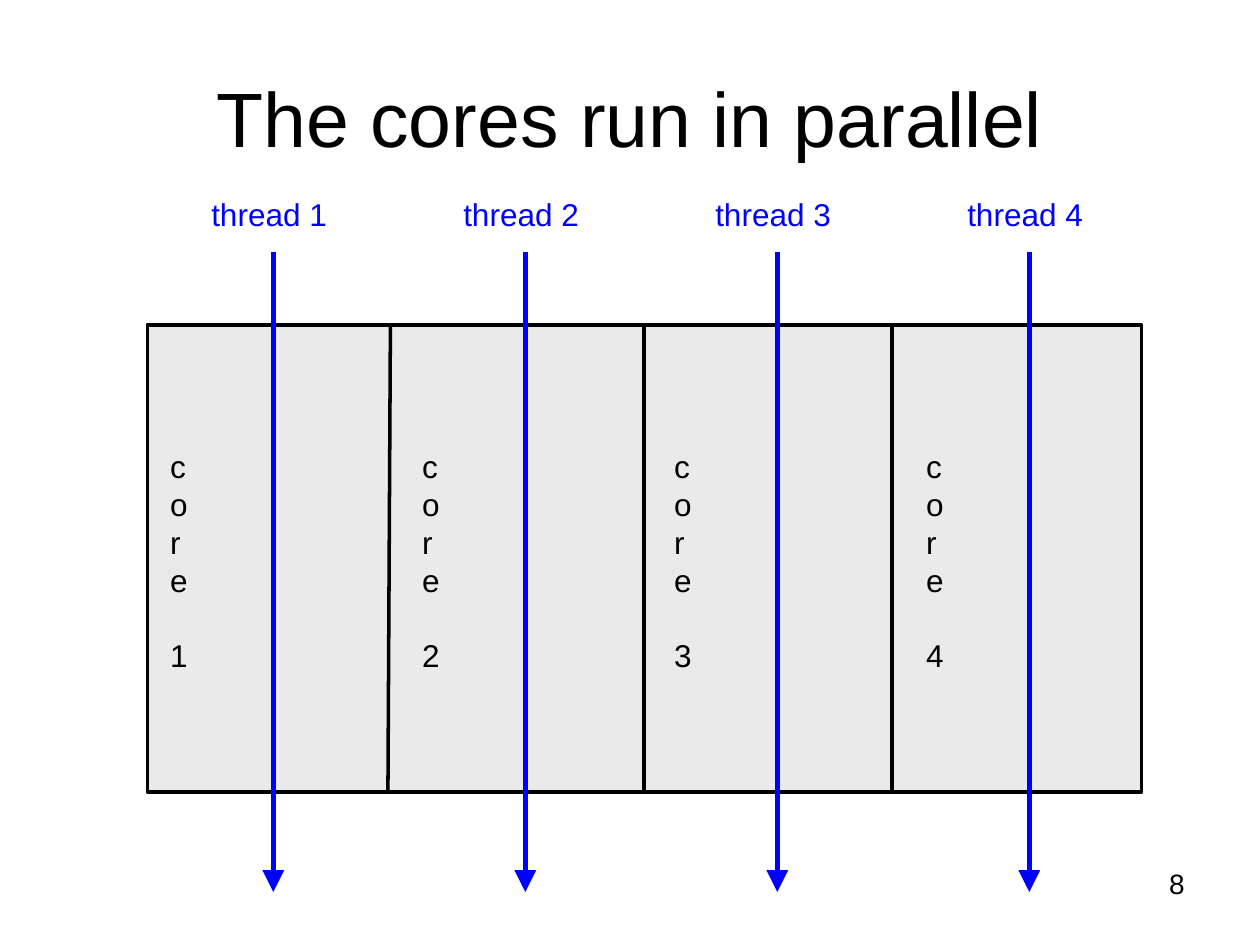
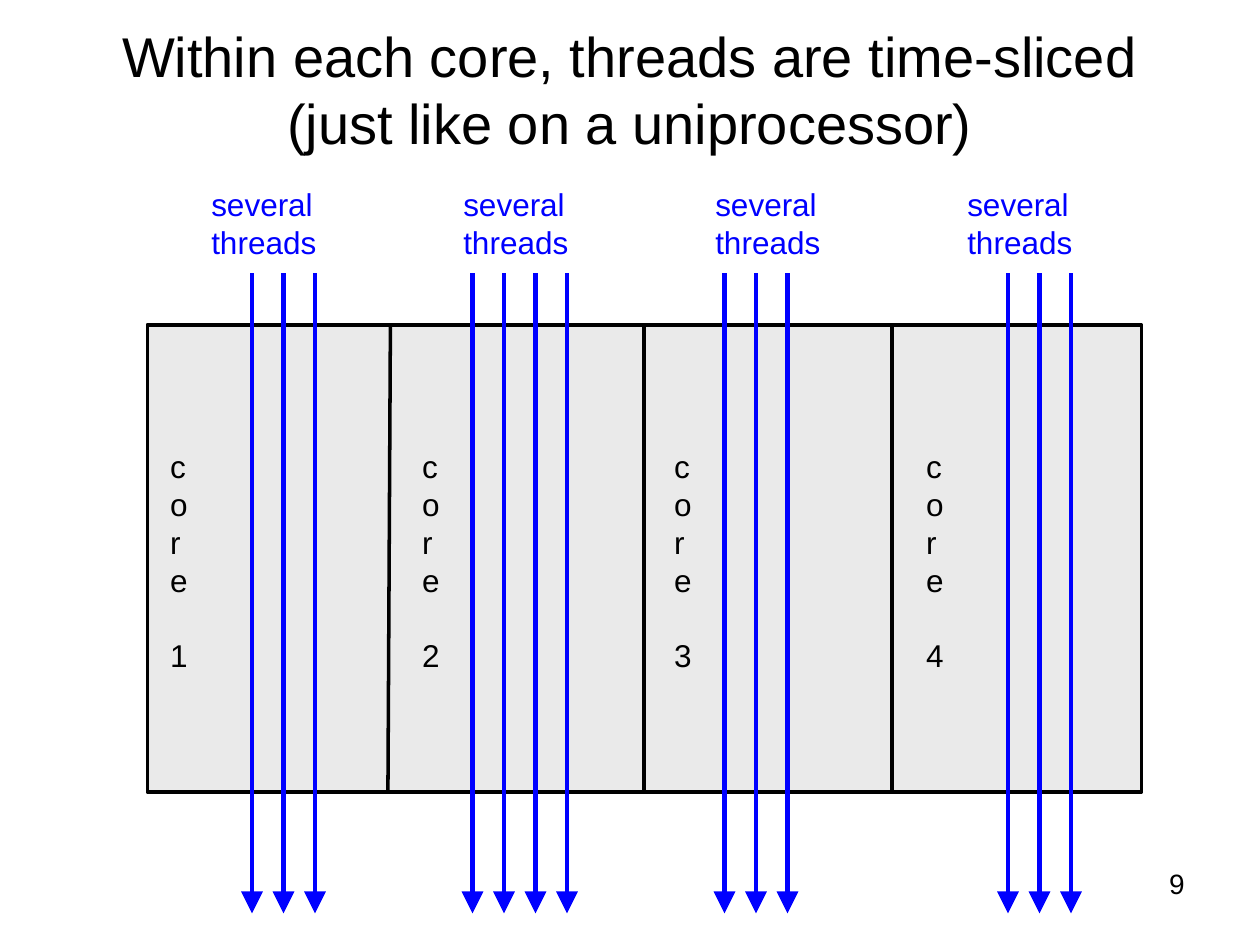
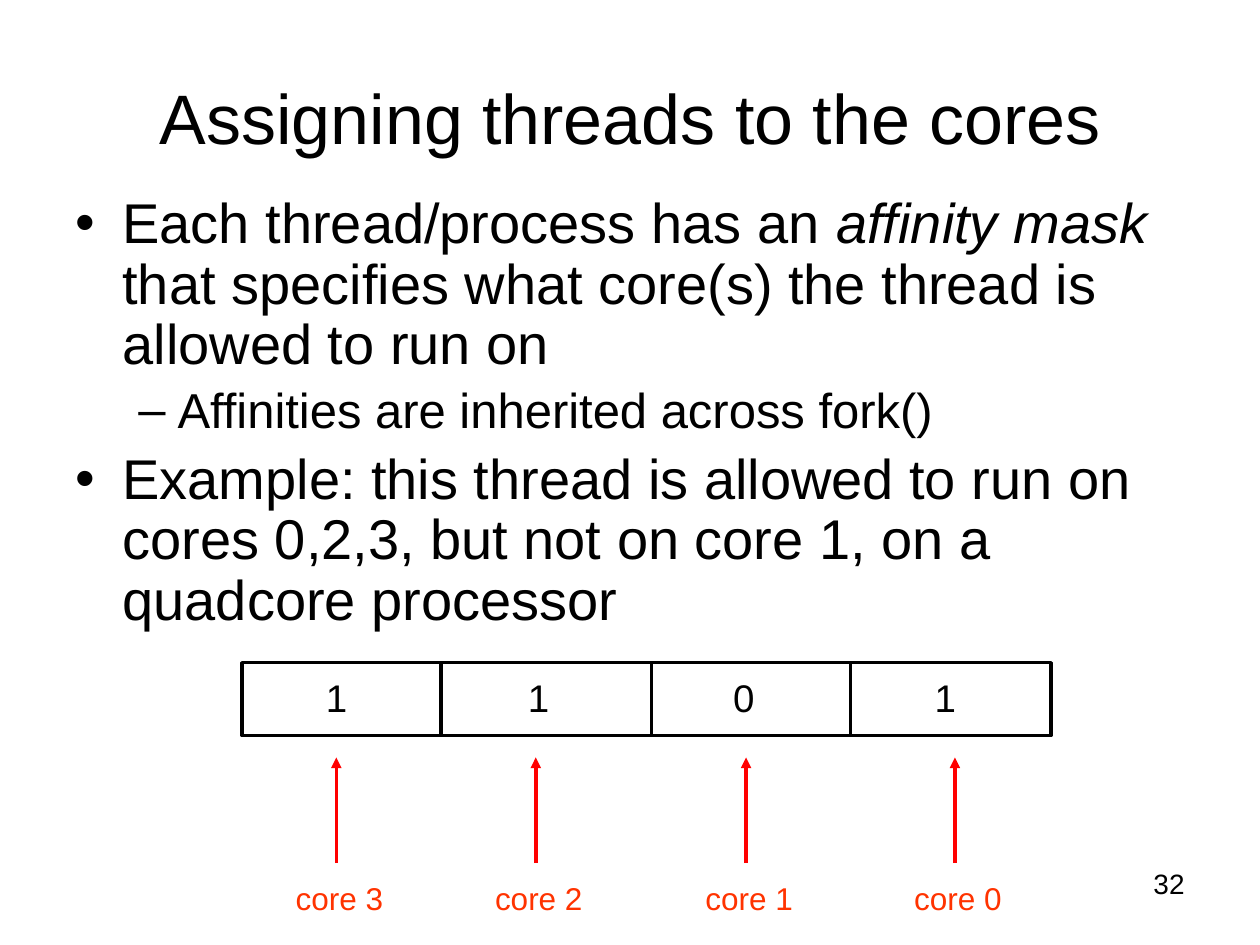
from dataclasses import dataclass

from lxml import etree
from pptx import Presentation
from pptx.dml.color import RGBColor
from pptx.enum.shapes import MSO_CONNECTOR, MSO_SHAPE
from pptx.enum.text import MSO_ANCHOR, MSO_AUTO_SIZE, PP_ALIGN
from pptx.oxml.ns import qn
from pptx.util import Cm, Pt

STRAIGHT = MSO_CONNECTOR.STRAIGHT
RECTANGLE = MSO_SHAPE.RECTANGLE
MIDDLE = MSO_ANCHOR.MIDDLE
NO_AUTOFIT = MSO_AUTO_SIZE.NONE
GROW = MSO_AUTO_SIZE.SHAPE_TO_FIT_TEXT
LEFT, CENTER, RIGHT = PP_ALIGN.LEFT, PP_ALIGN.CENTER, PP_ALIGN.RIGHT
TITLE_ONLY = 5


@dataclass(frozen=True)
class Theme:
    font: str = "Arial"
    ink: str = "000000"
    chip: str = "EAEAEA"
    thread: str = "0000FF"
    pointer: str = "FF0000"
    pointer_label: str = "FF3300"
    title_size: int = 44
    list_title_size: int = 40
    long_title_size: int = 32
    bullet_sizes: tuple = (32, 28)
    bit_size: int = 22
    label_size: int = 18
    number_size: int = 16
    outline: float = 2
    thread_line: float = 2.5


THEME = Theme()

# Geometry in centimetres
CHIP = (2.97, 6.55, 20.04, 9.42)
CHIP_DIVIDERS = ((7.87, 7.82), (12.98, 12.98), (17.98, 17.98))
CORE_COUNT = 4
CORE_PITCH = 5.08
CORE_LABEL_LEFT = 3.18
THREAD_LABEL_LEFT = 4.01
THREAD_X = 5.51
SLICE_X = 5.08
SLICE_GAP = CORE_PITCH / 8
THREAD_LENGTH = 12.9

# Thread slots used in each core, counted in slice gaps
SLICES = (range(0, 3), range(-1, 3), range(-1, 2), range(0, 3))

MASK = (4.88, 13.36, 16.31, 1.47)
MASK_DIVIDERS = (8.89, 13.13, 17.15)
# bit value, left of the bit, core name, arrow position
MASK_CORES = (
    ("1", 6.32, "core 3", 6.78),
    ("1", 10.39, "core 2", 10.8),
    ("0", 14.53, "core 1", 15.04),
    ("1", 18.59, "core 0", 19.25),
)

# level and runs as (text, italic)
AFFINITY_POINTS = (
    (0, (("Each thread/process has an ", False),
         ("affinity mask ", True),
         ("that specifies what core(s) the thread is allowed to run on", False))),
    (1, (("Affinities are inherited across fork()", False),)),
    (0, (("Example: this thread is allowed to run on cores 0,2,3, "
          "but not on core 1, on a quadcore processor", False),)),
)
# symbol, text indent and hanging indent for each level
BULLETS = (("•", 0.95, 0.95), ("–", 2.06, 0.79))


def style_font(font, size, color=THEME.ink):
    font.name = THEME.font
    font.size = Pt(size)
    font.color.rgb = RGBColor.from_string(color)


def style_frame(frame, size, color=THEME.ink, align=LEFT):
    for para in frame.paragraphs:
        para.alignment = align
        for span in para.runs:
            style_font(span.font, size, color)


def add_text(page, text, left, top, width, height, size,
             color=THEME.ink, align=LEFT, wrap=False):
    box = page.shapes.add_textbox(Cm(left), Cm(top), Cm(width), Cm(height))
    frame = box.text_frame
    frame.word_wrap = wrap
    frame.auto_size = NO_AUTOFIT if wrap else GROW
    frame.text = text
    style_frame(frame, size, color, align)
    return box


def add_line(page, start, end, color=THEME.ink, width=THEME.outline, head=None):
    """Draw a line; head is the arrowhead size at its end ("med" or "lg")."""
    line = page.shapes.add_connector(
        STRAIGHT, Cm(start[0]), Cm(start[1]), Cm(end[0]), Cm(end[1]))
    line.line.color.rgb = RGBColor.from_string(color)
    line.line.width = Pt(width)
    properties = line.line._get_or_add_ln()
    if head:
        etree.SubElement(properties, qn("a:tailEnd"),
                         type="triangle", w=head, len=head)
    etree.SubElement(line._element.spPr, qn("a:effectLst"))


def add_frame(page, area, fill=None):
    rect = page.shapes.add_shape(RECTANGLE, *(Cm(length) for length in area))
    rect.shadow.inherit = False
    if fill:
        rect.fill.solid()
        rect.fill.fore_color.rgb = RGBColor.from_string(fill)
    else:
        rect.fill.background()
    rect.line.color.rgb = RGBColor.from_string(THEME.ink)
    rect.line.width = Pt(THEME.outline)


def add_page(deck, title, number, size, top=0.76):
    """Start a slide with its title and page number."""
    page = deck.slides.add_slide(deck.slide_layouts[TITLE_ONLY])
    heading = page.shapes.title
    heading.left, heading.top = Cm(1.27), Cm(top)
    heading.width, heading.height = Cm(22.86), Cm(3.18)
    frame = heading.text_frame
    frame.text = title
    frame.word_wrap = True
    frame.auto_size = NO_AUTOFIT
    frame.vertical_anchor = MIDDLE
    style_frame(frame, size, align=CENTER)
    add_text(page, str(number), 18.2, 17.35, 5.93, 1.32,
             THEME.number_size, align=RIGHT, wrap=True)
    return page


def add_chip(page):
    """Draw the processor with its cores; narrow labels wrap letter by letter."""
    add_frame(page, CHIP, THEME.chip)
    top, bottom = CHIP[1], CHIP[1] + CHIP[3]
    for upper, lower in CHIP_DIVIDERS:
        add_line(page, (upper, top), (lower, bottom))
    for core in range(CORE_COUNT):
        label = add_text(page, f"core\n{core + 1}",
                         CORE_LABEL_LEFT + core * CORE_PITCH, 8.89, 0.91, 4.83,
                         THEME.label_size, wrap=True)
        label.text_frame.paragraphs[1].space_before = Pt(21.5)


def add_thread(page, x, top):
    add_line(page, (x, top), (x, top + THREAD_LENGTH),
             THEME.thread, THEME.thread_line, "lg")


def add_bullets(page, points, left, top, width, height):
    box = page.shapes.add_textbox(Cm(left), Cm(top), Cm(width), Cm(height))
    frame = box.text_frame
    frame.word_wrap = True
    for index, (level, spans) in enumerate(points):
        para = frame.paragraphs[0] if index == 0 else frame.add_paragraph()
        symbol, indent, hanging = BULLETS[level]
        size = THEME.bullet_sizes[level]
        para.level = level
        para.line_spacing = 0.9
        para.space_before = Pt(0.2 * size if index else 0)
        properties = para._p.get_or_add_pPr()
        properties.set("marL", str(Cm(indent)))
        properties.set("indent", str(-Cm(hanging)))
        etree.SubElement(properties, qn("a:buFont"), typeface=THEME.font)
        etree.SubElement(properties, qn("a:buChar"), char=symbol)
        for text, italic in spans:
            span = para.add_run()
            span.text = text
            style_font(span.font, size)
            span.font.italic = italic


def build_parallel(deck):
    page = add_page(deck, "The cores run in parallel", 8, THEME.title_size)
    add_chip(page)
    for core in range(CORE_COUNT):
        shift = core * CORE_PITCH
        add_thread(page, THREAD_X + shift, 5.08)
        add_text(page, f"thread {core + 1}", THREAD_LABEL_LEFT + shift, 3.81,
                 2.84, 1.02, THEME.label_size, THEME.thread)


def build_time_sliced(deck):
    page = add_page(
        deck, "Within each core, threads are time-sliced (just like on a uniprocessor)",
        9, THEME.long_title_size, top=0.2)
    add_chip(page)
    for core, slots in enumerate(SLICES):
        shift = core * CORE_PITCH
        add_text(page, "several \vthreads", THREAD_LABEL_LEFT + shift, 3.61,
                 2.74, 1.78, THEME.label_size, THEME.thread)
        for slot in slots:
            add_thread(page, SLICE_X + shift + slot * SLICE_GAP, 5.51)


def build_affinity(deck):
    page = add_page(deck, "Assigning threads to the cores", 32,
                    THEME.list_title_size)
    add_bullets(page, AFFINITY_POINTS, 1.27, 3.81, 22.86, 14.6)

    # Affinity mask with a pointer to each bit
    add_frame(page, MASK)
    for x in MASK_DIVIDERS:
        add_line(page, (x, MASK[1]), (x, MASK[1] + MASK[3]))
    for bit, bit_left, core, x in MASK_CORES:
        add_text(page, bit, bit_left, 13.46, 0.94, 1.19, THEME.bit_size)
        add_line(page, (x, 17.4), (x, 15.27), THEME.pointer, head="med")
        add_text(page, core, x - 1.07, 17.6, 2.29, 1.02,
                 THEME.label_size, THEME.pointer_label)


def main():
    deck = Presentation()
    deck.slide_width, deck.slide_height = Cm(25.4), Cm(19.05)
    build_parallel(deck)
    build_time_sliced(deck)
    build_affinity(deck)
    deck.save("out.pptx")


if __name__ == "__main__":
    main()
